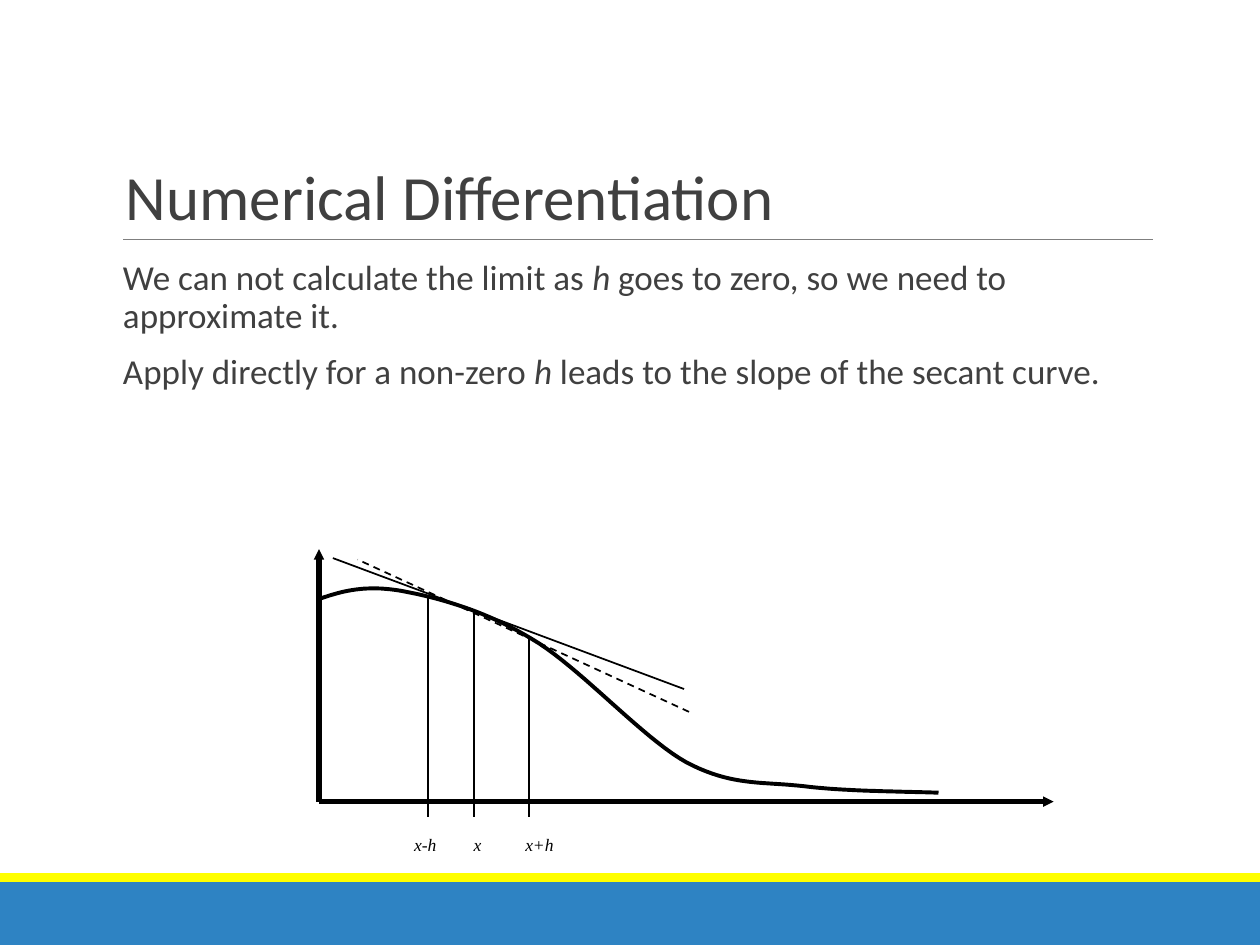
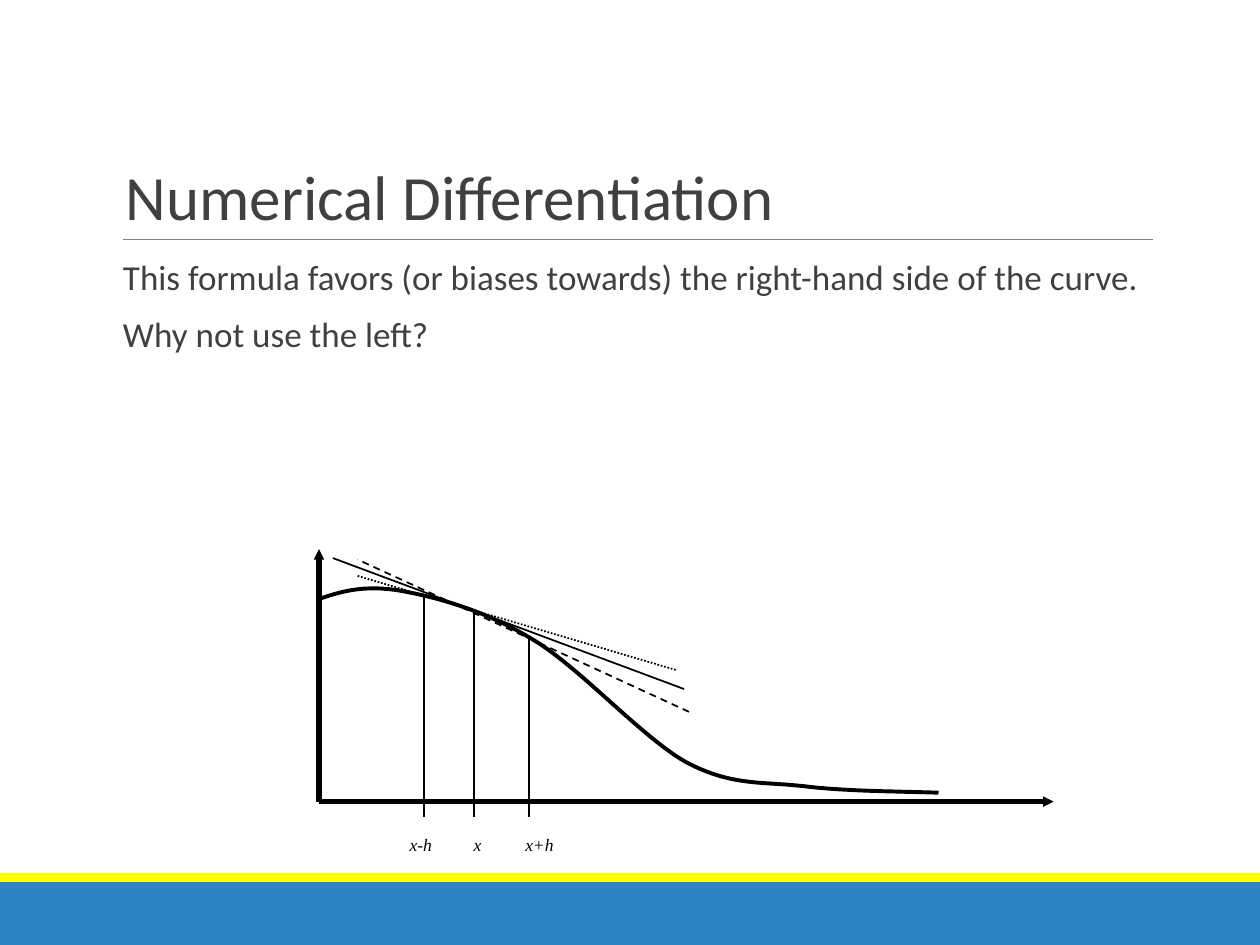
"""Builds two slides on numerical differentiation with secant and tangent plots."""
from dataclasses import dataclass

from lxml import etree
from pptx import Presentation, util as u
from pptx.dml.color import RGBColor as Rgb
from pptx.enum import dml, shapes, text
from pptx.oxml.ns import qn


@dataclass(frozen=True)
class Theme:
    blue: str = "2E83C3"
    yellow: str = "FFFF00"
    gray: str = "7F7F7F"
    dark: str = "404040"
    ink: str = "000000"
    sans: str = "Calibri"
    serif: str = "Times New Roman"
    title: int = 36
    body: int = 20
    label: int = 10


theme = Theme()


def stroke(slide, ends, color=theme.ink, width=1, dash=None, arrow=False):
    line = slide.shapes.add_connector(
        shapes.MSO_CONNECTOR.STRAIGHT, *[u.Cm(v) for v in ends])
    line.line.color.rgb = Rgb.from_string(color)
    line.line.width = u.Pt(width)
    if dash:
        line.line.dash_style = dash
    if arrow:
        etree.SubElement(line.line._get_or_add_ln(), qn("a:tailEnd"),
                         type="triangle", w="sm", len="sm")
    etree.SubElement(line._element.spPr, qn("a:effectLst"))


def write(slide, area, paras, font, size, color, side=0.25, wrap=True,
          anchor=text.MSO_ANCHOR.TOP, lead=1.0, before=0, after=0):
    frame = slide.shapes.add_textbox(*[u.Cm(v) for v in area]).text_frame
    frame.word_wrap = wrap
    if not wrap:
        frame.auto_size = text.MSO_AUTO_SIZE.SHAPE_TO_FIT_TEXT
    frame.vertical_anchor = anchor
    frame.margin_left = frame.margin_right = u.Cm(side)
    for n, runs in enumerate(paras):
        para = frame.add_paragraph() if n else frame.paragraphs[0]
        para.line_spacing = lead
        para.space_before, para.space_after = u.Pt(before), u.Pt(after)
        for words, slant in runs:
            run = para.add_run()
            run.text = words
            run.font.name, run.font.size = font, u.Pt(size)
            run.font.italic = slant
            run.font.color.rgb = Rgb.from_string(color)


bands = [(17.78, 1.27, theme.blue), (17.6, 0.18, theme.yellow)]
base = 16.16
axes = [(6.43, base, 6.43, 11.07), (6.43, base, 21.24, base)]
start = (6.45, 12.07)
bends = [
    ((6.91, 11.91), (7.37, 11.79), (8.08, 11.91)),
    ((8.79, 12.04), (9.75, 12.29), (10.72, 12.88)),
    ((11.68, 13.44), (12.93, 14.86), (13.84, 15.37)),
    ((14.76, 15.85), (15.34, 15.75), (16.21, 15.85)),
    ((17.04, 15.95), (17.98, 15.95), (18.92, 15.98)),
]
steps = 20
curve = [start]
for bend in bends:
    knots = (curve[-1], *bend)
    for n in range(1, steps + 1):
        t = n / steps
        parts = ((1 - t) ** 3, 3 * t * (1 - t) ** 2, 3 * t * t * (1 - t), t ** 3)
        curve.append(tuple(sum(p * k[i] for p, k in zip(parts, knots))
                           for i in (0, 1)))
curve = [(u.Cm(x), u.Cm(y)) for x, y in curve]

marks = [("x", 9.55, 12.32, 9.3, 0.7), ("x+h", 10.67, 12.83, 10.34, 1.1)]
tangent = (6.71, 11.25, 13.79, 13.89)
right = (13.89, 14.35, 7.21, 11.28)
left = (7.21, 11.61, 13.64, 13.51)

pages = [
    ([[("We can not calculate the limit as ", False), ("h", True),
       (" goes to zero, so we need to approximate it.", False)],
      [("Apply directly for a non-zero ", False), ("h", True),
       (" leads to the slope of the secant curve.", False)]],
     ("x-h", 8.63, 12.04, 8.1, 1), False),
    ([[("This formula favors (or biases towards) the right-hand side of the curve.",
        False)],
      [("Why not use the left?", False)]],
     ("x-h", 8.55, 12.01, 8.01, 1), True),
]

deck = Presentation()
deck.slide_width, deck.slide_height = u.Cm(25.4), u.Cm(19.05)

for paras, back, both in pages:
    slide = deck.slides.add_slide(deck.slide_layouts[6])
    for top, high, color in bands:
        band = slide.shapes.add_shape(
            shapes.MSO_SHAPE.RECTANGLE, 0, u.Cm(top), deck.slide_width, u.Cm(high))
        band.shadow.inherit = False
        band.fill.solid()
        band.fill.fore_color.rgb = Rgb.from_string(color)
        band.line.fill.background()
    stroke(slide, (2.48, 4.83, 23.24, 4.83), theme.gray, 0.5)

    write(slide, (2.29, 0.79, 20.96, 4.04), [[("Numerical Differentiation", False)]],
          theme.sans, theme.title, theme.dark,
          anchor=text.MSO_ANCHOR.BOTTOM, lead=0.85)
    write(slide, (2.48, 5.13, 20.76, 11.18), paras, theme.sans, theme.body,
          theme.dark, side=0, lead=0.9, before=9, after=1.5)

    for axis in axes:
        stroke(slide, axis, width=3, arrow=True)
    pen = slide.shapes.build_freeform(*curve[0])
    pen.add_line_segments(curve[1:], close=False)
    plot = pen.convert_to_shape()
    plot.shadow.inherit = False
    plot.fill.background()
    plot.line.color.rgb = Rgb.from_string(theme.ink)
    plot.line.width = u.Pt(2.25)

    for name, x, top, edge, wide in [*marks, back]:
        stroke(slide, (x, top, x, 16.46))
        write(slide, (edge, 16.69, wide, 0.69), [[(name, True)]],
              theme.serif, theme.label, theme.ink, wrap=False)
    stroke(slide, tangent)
    stroke(slide, right, dash=dml.MSO_LINE.DASH)
    if both:
        stroke(slide, left, dash=dml.MSO_LINE.ROUND_DOT)

deck.save("out.pptx")
